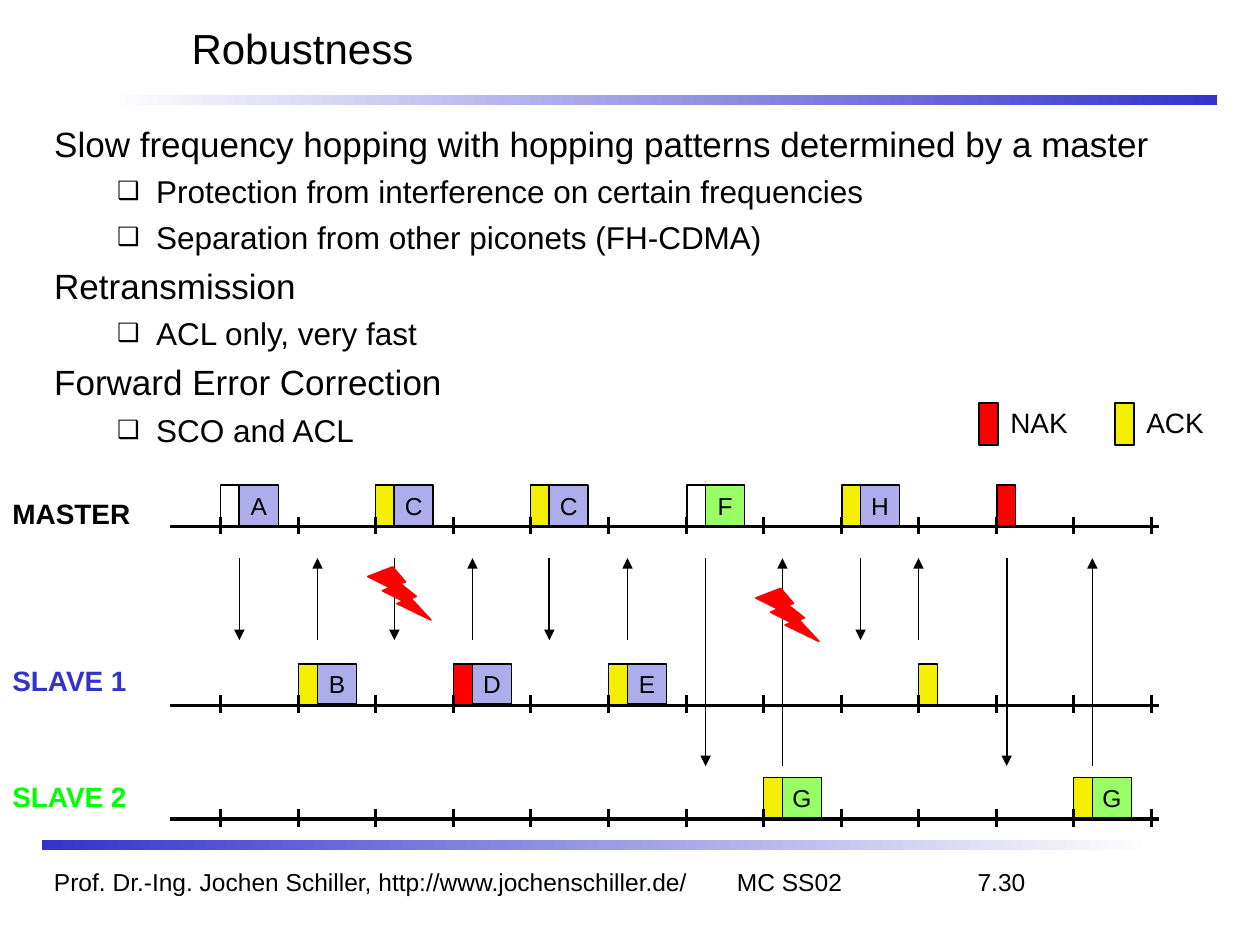
from lxml.etree import SubElement
from pptx import Presentation
from pptx.dml.color import RGBColor
from pptx.enum.shapes import MSO_CONNECTOR, MSO_SHAPE
from pptx.enum.text import MSO_ANCHOR, MSO_AUTO_SIZE, PP_ALIGN
from pptx.oxml.ns import qn
from pptx.util import Inches, Pt

# Content
TITLE = "Robustness"
TOPICS = [
    ("Slow frequency hopping with hopping patterns determined by a master",
     ["Protection from interference on certain frequencies",
      "Separation from other piconets (FH-CDMA)"]),
    ("Retransmission", ["ACL only, very fast"]),
    ("Forward Error Correction", ["SCO and ACL"]),
]
FOOTER = "Prof. Dr.-Ing. Jochen Schiller, http://www.jochenschiller.de/\tMC SS02\t7.30"
FOOTER_TABS = [(5.42, "l"), (7.71, "r")]

# Stations: label, label colour, label top, label width, axis height
STATIONS = {
    "master": ("MASTER", "black", 3.89, 1.21, 4.18),
    "slave1": ("SLAVE 1", "blue", 5.22, 1.24, 5.6),
    "slave2": ("SLAVE 2", "green", 6.14, 1.24, 6.5),
}
# One packet per slot: sender, peer, flag colour, payload, arrow offset in the slot
PACKETS = [
    ("master", "slave1", "white", "A", 0.15),
    ("slave1", "master", "ack", "B", 0.15),
    ("master", "slave1", "ack", "C", 0.15),
    ("slave1", "master", "nak", "D", 0.15),
    ("master", "slave1", "ack", "C", 0.15),
    ("slave1", "master", "ack", "E", 0.15),
    ("master", "slave2", "white", "F", 0.15),
    ("slave2", "master", "ack", "G", 0.15),
    ("master", "slave1", "ack", "H", 0.15),
    ("slave1", "master", "ack", None, 0),
    ("master", "slave2", "nak", None, 0.08),
    ("slave2", "master", "ack", "G", 0.15),
]
LEGEND = [("NAK", "nak", 7.77), ("ACK", "ack", 8.85)]
INTERFERENCE = [(2.92, 4.5), (6, 4.67)]
BANDS = [(0.83, 0.75, "white", "blue"), (0.33, 6.67, "blue", "white")]

# Theme
THEME = {
    "font": "Arial",
    "colors": {
        "black": "000000", "white": "FFFFFF", "blue": "3333CC", "green": "00FF00",
        "nak": "FF0000", "ack": "F4EE00", "payload1": "ADADEB", "payload2": "99FF66",
    },
    "sizes": {"title": 24, "topic": 20, "detail": 18, "label": 16, "small": 14},
}

# Diagram grid
FIRST_TICK, LAST_TICK = 1.75, 9.14
SLOT = (LAST_TICK - FIRST_TICK) / len(PACKETS)
AXIS_LEFT, AXIS_RIGHT = 1.35, 9.2
FLAG_W, FLAG_H = 0.15, 0.33
PAYLOAD_W, PAYLOAD_H = 0.31, 0.32
ARROW_TOP = 4.43
ARROW_BOTTOM = {"slave1": 5.08, "slave2": 6.08}


def color(name):
    return RGBColor.from_string(THEME["colors"][name])


def box(left, top, width, height):
    return [Inches(round(value, 2)) for value in (left, top, width, height)]


def write(paragraph, words, size, ink="black", bold=False):
    run = paragraph.add_run()
    run.text = words
    style = {"name": THEME["font"], "size": Pt(THEME["sizes"][size]), "bold": bold}
    for attribute, value in style.items():
        setattr(run.font, attribute, value)
    run.font.color.rgb = color(ink)


def add_label(place, words, size, ink="black", bold=False):
    label = slide.shapes.add_textbox(*box(*place))
    label.text_frame.word_wrap = True
    write(label.text_frame.paragraphs[0], words, size, ink, bold)
    return label


def add_block(place, fill, line="black", outline=MSO_SHAPE.RECTANGLE):
    block = slide.shapes.add_shape(outline, *box(*place))
    block.shadow.inherit = False
    block.fill.solid()
    block.fill.fore_color.rgb = color(fill)
    block.line.color.rgb = color(line)
    block.line.width = Pt(1)
    return block


def add_line(start, end, width, arrow=False):
    line = slide.shapes.add_connector(
        MSO_CONNECTOR.STRAIGHT, *box(*start, *end))
    line.line.color.rgb = color("black")
    line.line.width = Pt(width)
    properties = line.line._get_or_add_ln()
    if arrow:
        SubElement(properties, qn("a:tailEnd"), type="triangle")
    SubElement(properties.getparent(), qn("a:effectLst"))


def fill_frame(placeholder, place, anchor):
    placeholder.left, placeholder.top, placeholder.width, placeholder.height = box(*place)
    frame = placeholder.text_frame
    settings = {"word_wrap": True, "auto_size": MSO_AUTO_SIZE.NONE, "vertical_anchor": anchor}
    for attribute, value in settings.items():
        setattr(frame, attribute, value)
    return frame


def add_item(frame, words, level):
    first = not frame.paragraphs[0].runs
    item = frame.paragraphs[0] if first else frame.add_paragraph()
    margin, indent, size, space = [(0.38, -0.38, "topic", 5), (0.81, -0.31, "detail", 4.5)][level]
    item.level = level
    item.space_before = Pt(0 if first else space)
    properties = item._p.get_or_add_pPr()
    properties.set("marL", str(Inches(margin)))
    properties.set("indent", str(Inches(indent)))
    if level:
        bullet_color = SubElement(properties, qn("a:buClr"))
        SubElement(bullet_color, qn("a:srgbClr"), val=THEME["colors"]["black"])
        SubElement(properties, qn("a:buSzPct"), val="80000")
        SubElement(properties, qn("a:buFont"), typeface=THEME["font"])
        SubElement(properties, qn("a:buChar"), char="❑")
    else:
        SubElement(properties, qn("a:buNone"))
    write(item, words, size)


presentation = Presentation()
presentation.slide_width, presentation.slide_height = Inches(10), Inches(7.5)
slide = presentation.slides.add_slide(presentation.slide_layouts[1])

# Gradient bands
for left, top, start, end in BANDS:
    band = add_block((left, top, 8.83, 0.08), "blue")
    band.line.fill.background()
    band.fill.gradient()
    band.fill.gradient_angle = 0
    for stop, name in zip(band.fill.gradient_stops, (start, end)):
        stop.color.rgb = color(name)

# Footer
footer = add_label((0.33, 6.83, 8.75, 0.33), FOOTER, "small")
tabs = SubElement(footer.text_frame.paragraphs[0]._p.get_or_add_pPr(), qn("a:tabLst"))
for position, alignment in FOOTER_TABS:
    SubElement(tabs, qn("a:tab"), pos=str(Inches(position)), algn=alignment)

# Title and topics
heading = fill_frame(slide.shapes.title, (1.42, 0, 8.42, 0.75), MSO_ANCHOR.MIDDLE).paragraphs[0]
heading.alignment = PP_ALIGN.LEFT
write(heading, TITLE, "title")
topics = fill_frame(slide.placeholders[1], (0.33, 0.92, 9.33, 5.67), MSO_ANCHOR.TOP)
for topic, details in TOPICS:
    add_item(topics, topic, 0)
    for detail in details:
        add_item(topics, detail, 1)

# Packets and their arrows
for slot, (sender, peer, flag, payload, arrow_offset) in enumerate(PACKETS):
    left = FIRST_TICK + slot * SLOT
    top = STATIONS[sender][-1] - FLAG_H
    slave = peer if sender == "master" else sender
    if payload:
        packet = add_block((left + FLAG_W, top, PAYLOAD_W, PAYLOAD_H),
                           "payload1" if slave == "slave1" else "payload2")
        packet.text_frame.word_wrap = False
        packet.text_frame.vertical_anchor = MSO_ANCHOR.MIDDLE
        packet.text_frame.paragraphs[0].alignment = PP_ALIGN.CENTER
        write(packet.text_frame.paragraphs[0], payload, "small")
    add_block((left, top, FLAG_W, FLAG_H), flag)
    ends = [(left + arrow_offset, y) for y in (ARROW_TOP, ARROW_BOTTOM[slave])]
    add_line(*(ends if sender == "master" else ends[::-1]), 1, arrow=True)

# Legend
for words, flag, left in LEGEND:
    add_block((left, 3.2, FLAG_W, FLAG_H), flag)
    add_label((left + FLAG_W, 3.17, 0.75, 0.37), words, "label")

# Station labels and time axes
for words, ink, top, width, axis in STATIONS.values():
    add_label((0, top, width, 0.36), words, "label", ink, bold=True)
    for tick in range(len(PACKETS) + 1):
        x = FIRST_TICK + tick * SLOT
        add_line((x, axis - 0.08), (x, axis + 0.06), 2)
    add_line((AXIS_LEFT, axis), (AXIS_RIGHT, axis), 2)

# Interference
for left, top in INTERFERENCE:
    add_block((left, top, 0.5, 0.42), "nak", "nak", MSO_SHAPE.LIGHTNING_BOLT)

presentation.save("out.pptx")
